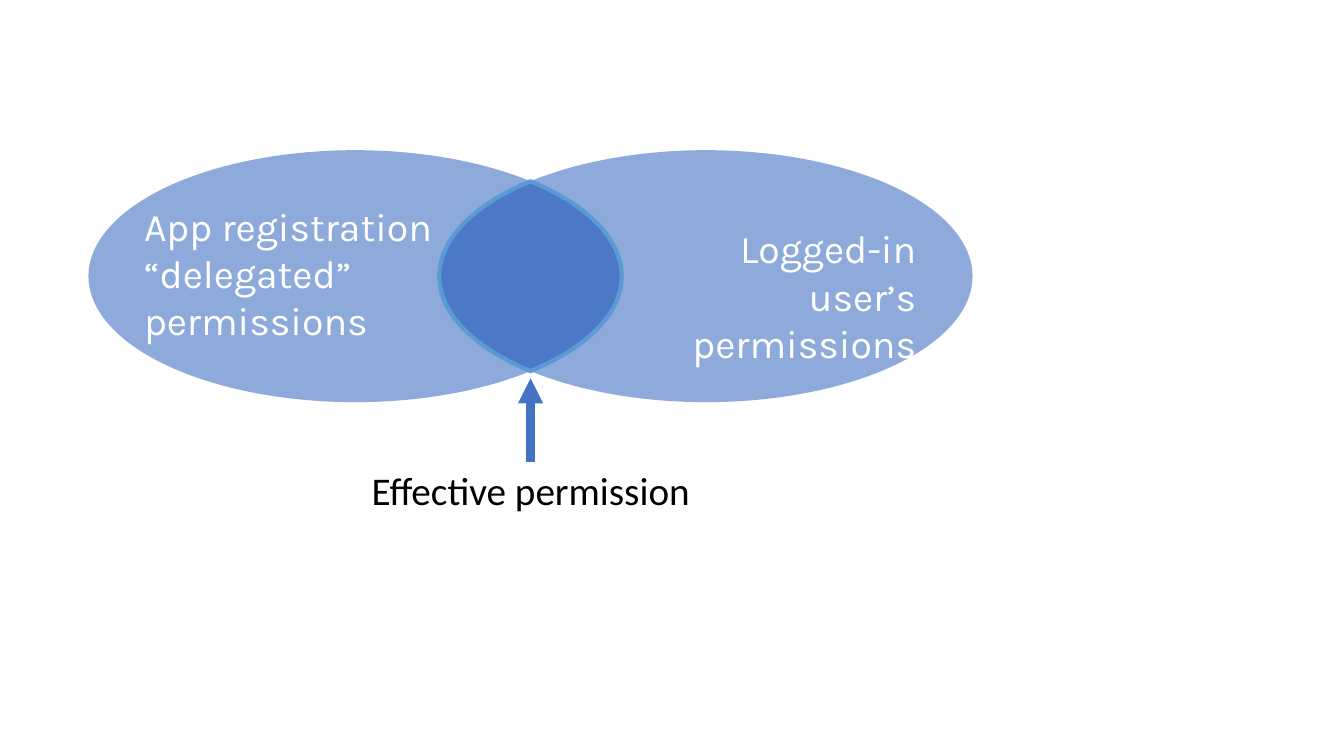
from math import acos, cos, pi, sin

from lxml.etree import SubElement
from pptx import Presentation
from pptx.dml.color import RGBColor
from pptx.enum.shapes import MSO_CONNECTOR, MSO_SHAPE
from pptx.enum.text import MSO_AUTO_SIZE, PP_ALIGN
from pptx.oxml.ns import qn
from pptx.util import Cm, Pt

BLUE = RGBColor(0x44, 0x72, 0xC4)
SKY = RGBColor(0x5B, 0x9B, 0xD5)
WHITE = RGBColor(0xFF, 0xFF, 0xFF)
BLACK = RGBColor(0, 0, 0)

# Content: lines, box in cm (left, top, width, height), alignment
CIRCLE_LABELS = [
    (["App registration “delegated” permissions"],
     (3.38, 4.98, 7.85, 3.84), PP_ALIGN.LEFT),
    (["Logged-in user’s", "permissions"],
     (15.49, 5.54, 7.85, 2.64), PP_ALIGN.RIGHT),
]
RESULT = (["Effective permission"], (8.36, 11.63, 10.03, 1.45), PP_ALIGN.CENTER)

# Formats
KARLA = {"name": "Karla", "size": Pt(28)}
CALIBRI = {"name": "Calibri", "size": Pt(28)}
FRAME = {"word_wrap": True, "auto_size": MSO_AUTO_SIZE.SHAPE_TO_FIT_TEXT}

# Geometry in cm: two equal ellipses, placed evenly about the middle
MID_X, MID_Y = 13.37, 6.96
RAD_X, RAD_Y = 6.72, 3.175
SHIFT = 4.42
ARROW_FROM, ARROW_TO = 11.63, 9.53
STEPS = 40


def apply(target, values):
    for key, value in values.items():
        setattr(target, key, value)


def tint(shape, alpha):
    shape.shadow.inherit = False
    shape.fill.solid()
    shape.fill.fore_color.rgb = BLUE
    color = shape.fill._xPr.find(qn("a:solidFill"))[0]
    SubElement(color, qn("a:alpha")).set("val", str(alpha * 1000))


def label(shapes, item, font, color):
    lines, box, align = item
    frame = shapes.add_textbox(*map(Cm, box)).text_frame
    apply(frame, FRAME)
    for i, line in enumerate(lines):
        para = frame.paragraphs[0] if i == 0 else frame.add_paragraph()
        para.alignment = align
        run = para.add_run()
        run.text = line
        apply(run.font, font)
        run.font.color.rgb = color


def lens():
    """Outline of the overlap: one arc from each ellipse, from the top round."""
    angle = acos(SHIFT / RAD_X)
    turns = [-angle + 2 * angle * i / STEPS for i in range(STEPS)]
    arcs = [(-SHIFT, 0), (SHIFT, pi)]
    return [(Cm(MID_X + move + RAD_X * cos(turn + start)),
             Cm(MID_Y + RAD_Y * sin(turn + start)))
            for move, start in arcs for turn in turns]


deck = Presentation()
apply(deck, {"slide_width": Cm(33.87), "slide_height": Cm(19.05)})
slide = deck.slides.add_slide(deck.slide_layouts[6])

# Ellipses with their labels
venn = slide.shapes.add_group_shape().shapes
for side, item in zip((-1, 1), CIRCLE_LABELS):
    left = MID_X + side * SHIFT - RAD_X
    box = (left, MID_Y - RAD_Y, 2 * RAD_X, 2 * RAD_Y)
    oval = venn.add_shape(MSO_SHAPE.OVAL, *map(Cm, box))
    tint(oval, 60)
    oval.line.fill.background()
    label(venn, item, KARLA, WHITE)

# Overlap
points = lens()
pen = venn.build_freeform(*points[0], scale=1.0)
pen.add_line_segments(points[1:], close=True)
overlap = pen.convert_to_shape()
tint(overlap, 70)
overlap.line.color.rgb = SKY
overlap.line.width = Pt(3)

# Arrow and result
ends = (MID_X, ARROW_FROM, MID_X, ARROW_TO)
arrow = slide.shapes.add_connector(MSO_CONNECTOR.STRAIGHT, *map(Cm, ends))
arrow.line.color.rgb = BLUE
arrow.line.width = Pt(6)
SubElement(arrow.line._get_or_add_ln(), qn("a:tailEnd")).set("type", "triangle")
SubElement(arrow._element.spPr, qn("a:effectLst"))
label(slide.shapes, RESULT, CALIBRI, BLACK)

deck.save("out.pptx")
